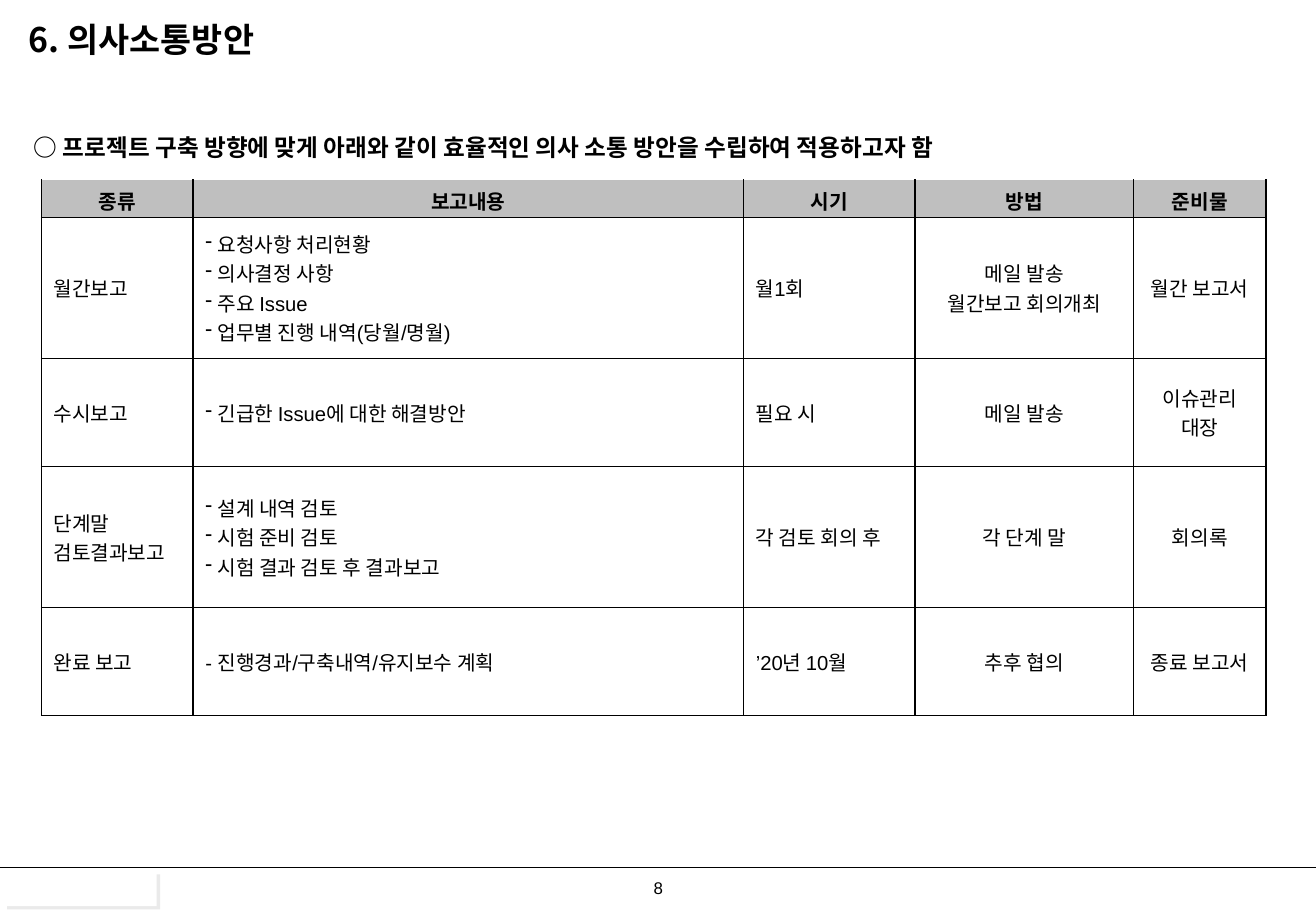
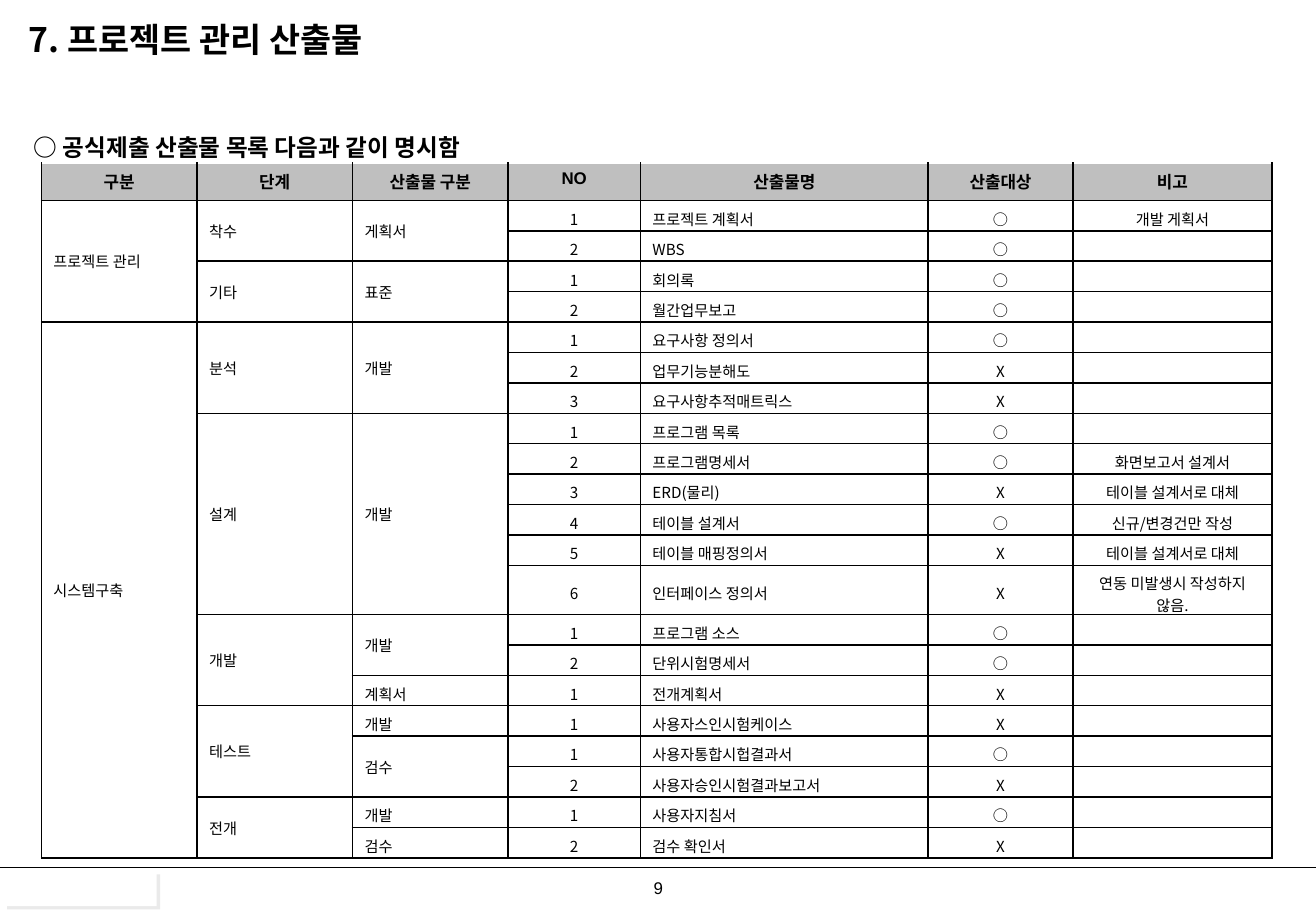
"""Build two project plan slides: communication plan and list of deliverables."""
import dataclasses

import lxml.etree
import pptx
import pptx.dml.color
import pptx.enum.shapes
import pptx.enum.text
import pptx.oxml.ns
import pptx.util


@dataclasses.dataclass(frozen=True)
class Theme:
    ink: str = "000000"
    paper: str = "FFFFFF"
    header: str = "BFBFBF"
    shade: str = "EAEAEA"
    latin: str = "Arial"
    korean: str = "Noto Sans CJK KR"
    title: int = 20
    heading: int = 14
    number: int = 10
    rule: float = 0.75
    border: int = 1


theme = Theme()
rgb = pptx.dml.color.RGBColor.from_string
qn = pptx.oxml.ns.qn
CENTER = pptx.enum.text.PP_ALIGN.CENTER
LEFT = pptx.enum.text.PP_ALIGN.LEFT
MIDDLE = pptx.enum.text.MSO_ANCHOR.MIDDLE
TOP = pptx.enum.text.MSO_ANCHOR.TOP

deck = pptx.Presentation()
deck.slide_width = pptx.util.Inches(10.83)
deck.slide_height = pptx.util.Inches(7.5)
COLUMN = deck.slide_width / 100
ROW = deck.slide_height / 100


def grid(left, top, width, height):
    """Turn hundredths of the slide into lengths."""
    return int(left * COLUMN), int(top * ROW), int(width * COLUMN), int(height * ROW)


def write(frame, text, size, font, bold=False, align=LEFT):
    """Fill a text frame with one paragraph a line; a list becomes dashed bullets."""
    bulleted = isinstance(text, list)
    for index, line in enumerate(text if bulleted else text.split("\n")):
        para = frame.paragraphs[0] if index == 0 else frame.add_paragraph()
        para.alignment = align
        properties = para._p.get_or_add_pPr()
        if bulleted:
            properties.set("marL", "91440")
            properties.set("indent", "-91440")
            lxml.etree.SubElement(properties, qn("a:buChar")).set("char", "-")
        if line:
            para.add_run().text = line
        else:
            lxml.etree.SubElement(para._p, qn("a:endParaRPr")).set("sz", str(size * 100))
        para.font.size = pptx.util.Pt(size)
        para.font.bold = bold
        para.font.name = font
        para.font.color.rgb = rgb(theme.ink)
        east_asian = lxml.etree.SubElement(properties.find(qn("a:defRPr")), qn("a:ea"))
        east_asian.set("typeface", theme.korean)


reports = [
    ("종류", "보고내용", "시기", "방법", "준비물"),
    ("월간보고", ["요청사항 처리현황", "의사결정 사항", "주요 Issue", "업무별 진행 내역(당월/명월)"],
     "월1회", "메일 발송\n월간보고 회의개최", "월간 보고서"),
    ("수시보고", ["긴급한 Issue에 대한 해결방안"], "필요 시", "메일 발송", "이슈관리\n대장"),
    ("단계말\n검토결과보고", ["설계 내역 검토", "시험 준비 검토", "시험 결과 검토 후 결과보고"],
     "각 검토 회의 후", "각 단계 말", "회의록"),
    ("완료 보고", "- 진행경과/구축내역/유지보수 계획", "’20년 10월", "추후 협의", "종료 보고서"),
]
deliverables = [
    ("구분", "단계", "산출물 구분", "NO", "산출물명", "산출대상", "비고"),
    ("프로젝트 관리", "착수", "게획서", "1", "프로젝트 계획서", "○", "개발 게획서"),
    (None, None, None, "2", "WBS", "○", ""),
    (None, "기타", "표준", "1", "회의록", "○", ""),
    (None, None, None, "2", "월간업무보고", "○", ""),
    ("시스템구축", "분석", "개발", "1", "요구사항 정의서", "○", ""),
    (None, None, None, "2", "업무기능분해도", "X", ""),
    (None, None, None, "3", "요구사항추적매트릭스", "X", ""),
    (None, "설계", "개발", "1", "프로그램 목록", "○", ""),
    (None, None, None, "2", "프로그램명세서", "○", "화면보고서 설계서"),
    (None, None, None, "3", "ERD(물리)", "X", "테이블 설계서로 대체"),
    (None, None, None, "4", "테이블 설계서", "○", "신규/변경건만 작성"),
    (None, None, None, "5", "테이블 매핑정의서", "X", "테이블 설계서로 대체"),
    (None, None, None, "6", "인터페이스 정의서", "X", "연동 미발생시 작성하지 않음."),
    (None, "개발", "개발", "1", "프로그램 소스", "○", ""),
    (None, None, None, "2", "단위시험명세서", "○", ""),
    (None, None, "계획서", "1", "전개계획서", "X", ""),
    (None, "테스트", "개발", "1", "사용자스인시험케이스", "X", ""),
    (None, None, "검수", "1", "사용자통합시헙결과서", "○", ""),
    (None, None, None, "2", "사용자승인시험결과보고서", "X", ""),
    (None, "전개", "개발", "1", "사용자지침서", "○", ""),
    (None, None, "검수", "2", "검수 확인서", "X", ""),
]
slides = [
    dict(number="8", title="6. 의사소통방안",
         heading="○ 프로젝트 구축 방향에 맞게 아래와 같이 효율적인 의사 소통 방안을 수립하여 적용하고자 함",
         records=reports, top=19.73, widths=[11.54, 41.83, 13.02, 16.62, 10.06],
         heights=[4.13, 15.47, 11.87, 15.47, 11.87],
         centered={3, 4}, header_size=12, body_size=12, tight=False),
    dict(number="9", title="7. 프로젝트 관리 산출물",
         heading="○ 공식제출 산출물 목록 다음과 같이 명시함",
         records=deliverables, top=17.87,
         widths=[11.82] * 3 + [10.06, 21.88, 10.99, 15.14],
         heights=[4.13] + [3.34] * 12 + [5.4] + [3.34] * 8,
         centered={3, 5, 6}, header_size=10, body_size=9, tight=True),
]

for plan in slides:
    page = deck.slides.add_slide(deck.slide_layouts[6])

    rule = page.shapes.add_connector(
        pptx.enum.shapes.MSO_CONNECTOR.STRAIGHT, 0, int(95.2 * ROW), deck.slide_width, int(95.2 * ROW))
    rule.line.color.rgb = rgb(theme.ink)
    rule.line.width = pptx.util.Pt(theme.rule)
    lxml.etree.SubElement(rule._element.spPr, qn("a:effectLst"))

    plate = page.shapes.add_shape(
        pptx.enum.shapes.MSO_SHAPE.RECTANGLE, *grid(0.28, 95.6, 11.63, 3.87))
    plate.fill.solid()
    plate.fill.fore_color.rgb = rgb(theme.paper)
    plate.line.fill.background()
    plate.shadow.inherit = False
    shadow = lxml.etree.SubElement(plate._element.spPr.find(qn("a:effectLst")), qn("a:outerShdw"))
    shadow.set("dist", str(pptx.util.Pt(2.8)))
    shadow.set("dir", "2700000")
    shadow.set("algn", "ctr")
    shadow.set("rotWithShape", "0")
    lxml.etree.SubElement(shadow, qn("a:srgbClr")).set("val", theme.shade)

    for text, area, size, font, bold, wrap in [
        (plan["number"], (48.75, 95.6, 3.42, 3.6), theme.number, theme.latin, False, False),
        (plan["title"], (1.29, 1.73, 56.69, 5.2), theme.title, theme.korean, True, True),
        (plan["heading"], (1.66, 13.87, 90, 4.53), theme.heading, theme.latin, True, True),
    ]:
        box = page.shapes.add_textbox(*grid(*area))
        box.text_frame.word_wrap = wrap
        box.text_frame.vertical_anchor = MIDDLE
        write(box.text_frame, text, size, font, bold)

    records, widths, heights = plan["records"], plan["widths"], plan["heights"]
    table = page.shapes.add_table(
        len(heights), len(widths), *grid(3.14, plan["top"], sum(widths), sum(heights))).table
    table.first_row = table.horz_banding = False
    for column, width in zip(table.columns, widths):
        column.width = int(width * COLUMN)
    for row, height in zip(table.rows, heights):
        row.height = int(height * ROW)

    for row, record in enumerate(records):
        for column, text in enumerate(record):
            cell = table.cell(row, column)
            header = row == 0
            last = row
            while text is not None and last + 1 < len(records) and records[last + 1][column] is None:
                last += 1
            if last > row:
                cell.merge(table.cell(last, column))
            cell.vertical_anchor = TOP if header else MIDDLE
            if header or (plan["tight"] and last == row):
                cell.margin_bottom = 0
            write(cell.text_frame, text or "",
                  plan["header_size"] if header else plan["body_size"],
                  theme.latin if header or column < 3 else theme.korean,
                  header, CENTER if header or column in plan["centered"] else LEFT)
            properties = cell._tc.get_or_add_tcPr()
            for side in ("lnL", "lnR", "lnT", "lnB"):
                edge = lxml.etree.SubElement(properties, qn("a:" + side))
                thin = side == "lnL" and column == 0 and not header
                edge.set("w", str(pptx.util.Pt(theme.rule if thin else theme.border)))
                fill = lxml.etree.SubElement(edge, qn("a:solidFill"))
                color = theme.paper if header and side == "lnT" else theme.ink
                lxml.etree.SubElement(fill, qn("a:srgbClr")).set("val", color)
            if header:
                cell.fill.solid()
                cell.fill.fore_color.rgb = rgb(theme.header)
            else:
                cell.fill.background()

deck.save("out.pptx")
